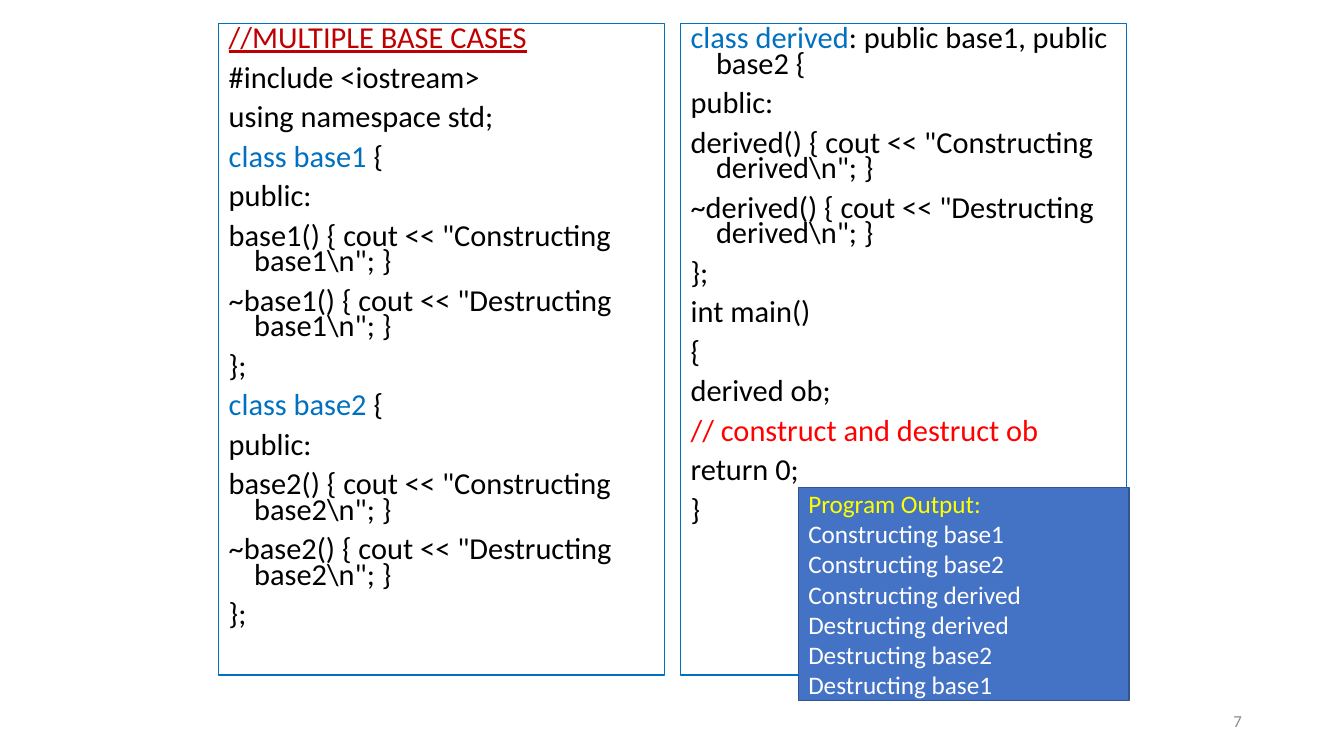
from lxml import etree
from pptx import Presentation
from pptx import util as u
from pptx.dml import color
from pptx.enum import shapes, text
from pptx.oxml import ns

COLOURS = {
    "black": "000000", "white": "FFFFFF", "heading": "C00000",
    "keyword": "0070C0", "comment": "FF0000", "yellow": "FFFF00",
    "output": "4472C4", "output_edge": "325491", "number": "8C8C8C",
}
CODE_FORMAT = {"line_spacing": 0.7, "space_before": u.Pt(10), "space_after": u.Pt(0)}
PLAIN_FORMAT = {"alignment": text.PP_ALIGN.LEFT}
NUMBER_FORMAT = {"alignment": text.PP_ALIGN.RIGHT}
TOP = {"vertical_anchor": text.MSO_ANCHOR.TOP}
MIDDLE = {"vertical_anchor": text.MSO_ANCHOR.MIDDLE}


def rgb(name):
    return color.RGBColor.from_string(COLOURS[name])


def apply(target, values):
    for attribute, value in values.items():
        setattr(target, attribute, value)


def place(element, left, top, width, height):
    apply(element, {"left": u.Cm(left), "top": u.Cm(top),
                    "width": u.Cm(width), "height": u.Cm(height)})


def outline(element, colour, width):
    element.line.color.rgb = rgb(colour)
    element.line.width = u.Pt(width)


def hang(paragraph):
    properties = paragraph._p.get_or_add_pPr()
    properties.set("marL", str(u.Cm(0.64)))
    properties.set("indent", str(-u.Cm(0.64)))
    etree.SubElement(properties, ns.qn("a:buNone"))


def write(element, lines, size, paragraph_format, frame_format):
    frame = element.text_frame
    apply(frame, {"word_wrap": True, "auto_size": text.MSO_AUTO_SIZE.NONE, **frame_format})
    for index, line in enumerate(lines):
        paragraph = frame.add_paragraph() if index else frame.paragraphs[0]
        apply(paragraph, paragraph_format)
        for words, colour in line:
            run = paragraph.add_run()
            run.text = words
            apply(run.font, {"name": "Calibri", "size": u.Pt(size)})
            run.font.color.rgb = rgb(colour)
    return frame.paragraphs


def plain(*lines, colour="black"):
    return [[(line, colour)] for line in lines]


def add_code(panel, left, lines):
    place(panel, left, 0.58, 11.23, 16.43)
    outline(panel, "keyword", 0.75)
    paragraphs = write(panel, lines, 21.7, CODE_FORMAT, TOP)
    for paragraph in paragraphs:
        hang(paragraph)
    return paragraphs


def add_output(slide, lines):
    output = slide.shapes.add_shape(
        shapes.MSO_SHAPE.RECTANGLE, u.Cm(20.12), u.Cm(12.29), u.Cm(8.33), u.Cm(5.36))
    output.shadow.inherit = False
    output.fill.solid()
    output.fill.fore_color.rgb = rgb("output")
    outline(output, "output_edge", 1)
    write(output, lines, 18, PLAIN_FORMAT, MIDDLE)


def add_page_number(slide, number):
    page = slide.shapes.add_textbox(u.Cm(23.93), u.Cm(17.65), u.Cm(7.62), u.Cm(1.02))
    write(page, plain(number, colour="number"), 12, NUMBER_FORMAT, MIDDLE)


def method(name):
    return f'{name}() {{ cout << "Constructing {name.strip("~")}\\n"; }}'


def members(name):
    return plain(
        "public:",
        f'{name}() {{ cout << "Constructing {name}\\n"; }}',
        f'~{name}() {{ cout << "Destructing {name}\\n"; }}',
        "};")


def base_class(name):
    return [[(f"class {name} ", "keyword"), ("{", "black")], *members(name)]


def main():
    deck = Presentation()
    apply(deck, {"slide_width": u.Cm(33.87), "slide_height": u.Cm(19.05)})
    slide = deck.slides.add_slide(deck.slide_layouts[3])
    title, bases, derived = slide.placeholders
    title._element.getparent().remove(title._element)

    base_lines = add_code(bases, 5.51, [
        *plain("//MULTIPLE BASE CASES", colour="heading"),
        *plain("#include <iostream>", "using namespace std;"),
        *base_class("base1"),
        *base_class("base2"),
    ])
    base_lines[0].runs[0].font.underline = True

    add_code(derived, 17.15, [
        [("class derived", "keyword"), (": public base1, public base2 {", "black")],
        *members("derived"),
        *plain("int main()", "{", "derived ob;"),
        *plain("// construct and destruct ob", colour="comment"),
        *plain("return 0;", "}"),
    ])

    add_page_number(slide, "7")
    order = ["base1", "base2", "derived"]
    add_output(slide, [
        *plain("Program Output:", colour="yellow"),
        *plain(*(f"Constructing {name}" for name in order), colour="white"),
        *plain(*(f"Destructing {name}" for name in reversed(order)), colour="white"),
    ])
    deck.save("out.pptx")


if __name__ == "__main__":
    main()
